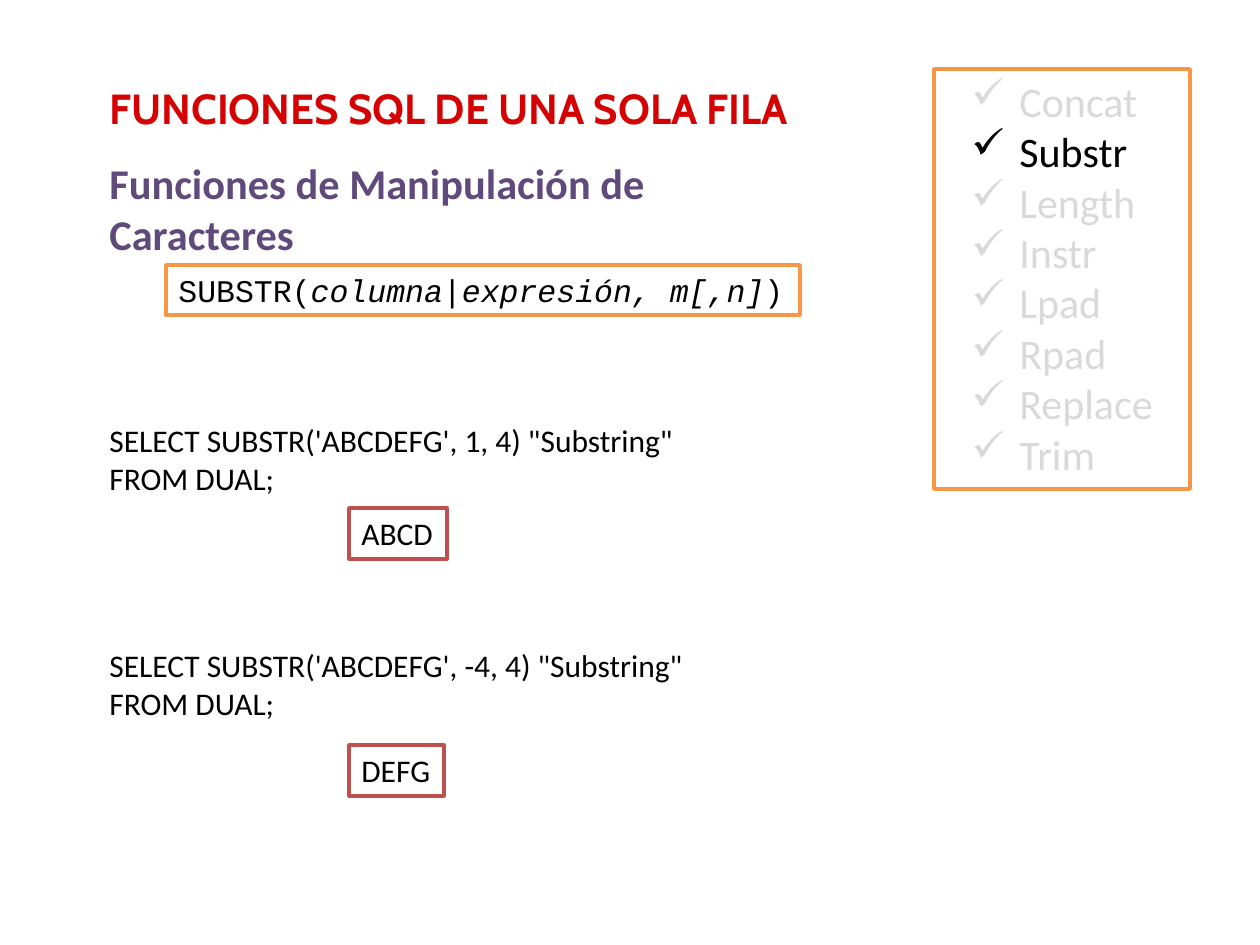
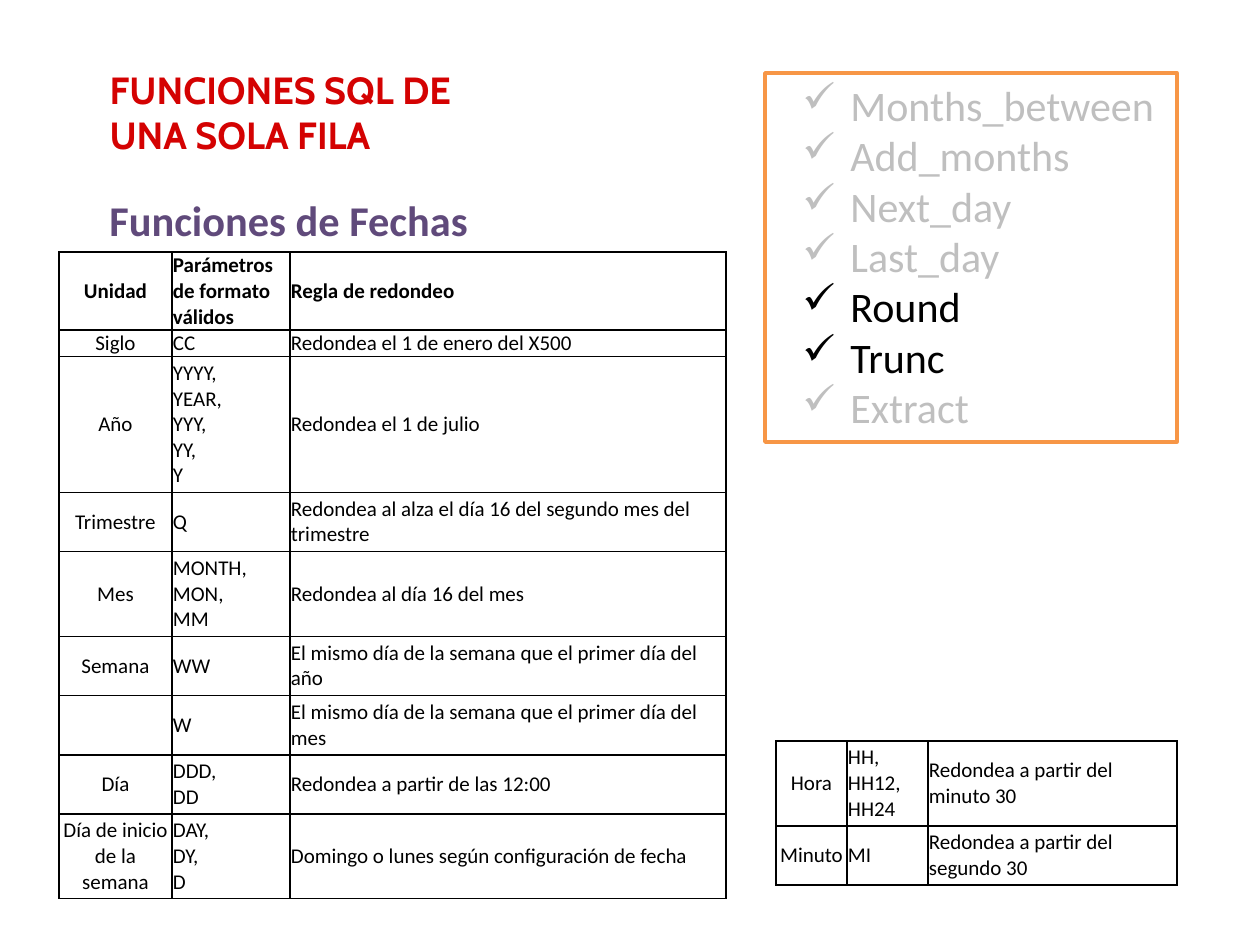
import pptx
import pptx.util
import pptx.dml.color
import pptx.enum.shapes
import pptx.enum.text
import pptx.oxml.ns
from lxml import etree

COLORS = {
    "title": "D40202", "subtitle": "604A7B", "text": "000000", "paper": "FFFFFF",
    "orange": "F79646", "red": "C0504D", "dim": "D9D9D9", "dim_dates": "BFBFBF",
}
PX = 914400 / 126
LEFT = 97
Pt = pptx.util.Pt
RGB = pptx.dml.color.RGBColor.from_string
ALIGN = pptx.enum.text.PP_ALIGN
ANCHOR = pptx.enum.text.MSO_ANCHOR
AUTO = pptx.enum.text.MSO_AUTO_SIZE
qn = pptx.oxml.ns.qn


def style(paragraph, size, color, bold=False, font="Calibri", align=ALIGN.LEFT):
    paragraph.alignment = align
    for run in paragraph.runs:
        run.font.name, run.font.size, run.font.bold = font, Pt(size), bold
        run.font.color.rgb = RGB(COLORS[color])


def add_text(slide, box, text, size=18, color="text", border=None, bold=False,
             font="Calibri", wrap=True, anchor=ANCHOR.TOP):
    place = [round(v * PX) for v in box]
    if border:
        shape = slide.shapes.add_shape(pptx.enum.shapes.MSO_SHAPE.RECTANGLE, *place)
        shape.shadow.inherit = False
        shape.fill.solid()
        shape.fill.fore_color.rgb = RGB(COLORS["paper"])
        shape.line.color.rgb = RGB(COLORS[border])
        shape.line.width = Pt(2)
    else:
        shape = slide.shapes.add_textbox(*place)
    frame = shape.text_frame
    frame.text = text
    frame.word_wrap = wrap
    frame.vertical_anchor = anchor
    frame.auto_size = AUTO.NONE
    for paragraph in frame.paragraphs:
        style(paragraph, size, color, bold, font)
    return frame


prs = pptx.Presentation()
prs.slide_width, prs.slide_height = round(1260 * PX), round(945 * PX)

# Shared parts: title, subtitle and function checklist
topics = [
    {"title": "FUNCIONES SQL DE UNA SOLA FILA", "title_box": (LEFT, 63, 998, 89), "title_size": 24,
     "subtitle": "Funciones de Manipulación de Caracteres", "subtitle_box": (LEFT, 175, 750, 66),
     "functions": ["Concat", "Substr", "Length", "Instr", "Lpad", "Rpad", "Replace", "Trim"],
     "current": ["Substr"], "dim": "dim", "list_box": (934, 69, 256, 420)},
    {"title": "FUNCIONES SQL DE\vUNA SOLA FILA", "title_box": (LEFT, 63, 536, 98), "title_size": 21.6,
     "subtitle": "Funciones de Fechas", "subtitle_box": (LEFT, 190, 571, 59),
     "functions": ["Months_between", "Add_months", "Next_day", "Last_day", "Round", "Trunc", "Extract"],
     "current": ["Round", "Trunc"], "dim": "dim_dates", "list_box": (765, 73, 412, 369)},
]
for topic in topics:
    slide = prs.slides.add_slide(prs.slide_layouts[5])
    title = slide.shapes.title
    title.left, title.top, title.width, title.height = [round(v * PX) for v in topic["title_box"]]
    title.text_frame.text = topic["title"]
    title.text_frame.auto_size = AUTO.NONE
    title.text_frame.vertical_anchor = ANCHOR.MIDDLE
    style(title.text_frame.paragraphs[0], topic["title_size"], "title", True, "Cabin")

    add_text(slide, topic["subtitle_box"], topic["subtitle"], 24.2, "subtitle",
             bold=True, anchor=ANCHOR.MIDDLE)

    checklist = add_text(slide, topic["list_box"], "\n".join(topic["functions"]), 24, border="orange")
    for entry in checklist.paragraphs:
        properties = entry._p.get_or_add_pPr()
        properties.set("marL", str(round(73 * PX)))
        properties.set("indent", str(round(-48 * PX)))
        etree.SubElement(properties, qn("a:buChar")).set("char", "✓")
        style(entry, 24, "text" if entry.text in topic["current"] else topic["dim"])

# Slide 1: SUBSTR syntax and examples
substr_slide, dates_slide = prs.slides
syntax = add_text(substr_slide, (166, 265, 634, 50), "SUBSTR(", border="orange",
                  font="Courier New", wrap=False).paragraphs[0]
for piece, italic in [("columna|expresión, m[,n]", True), (")", False)]:
    run = syntax.add_run()
    run.text = piece
    run.font.italic = italic
style(syntax, 18, "text", font="Courier New")

examples = [
    (1, 415, "ABCD", 508, 98),
    (-4, 640, "DEFG", 745, 95),
]
for start, query_top, result, result_top, result_width in examples:
    query = f"SELECT SUBSTR('ABCDEFG', {start}, 4) \"Substring\"\nFROM DUAL;"
    add_text(substr_slide, (LEFT, query_top, 630, 89), query)
    add_text(substr_slide, (349, result_top, result_width, 51), result, border="red", wrap=False)

# Slide 2: rounding rules, one table per group of units
rules = [
    ("Unidad", "Parámetros de formato válidos", "Regla de redondeo"),
    ("Siglo", "CC", "Redondea el 1 de enero del X500"),
    ("Año", "YYYY,\vYEAR,\vYYY,\vYY,\vY", "Redondea el 1 de julio"),
    ("Trimestre", "Q", "Redondea al alza el día 16 del segundo mes del trimestre"),
    ("Mes", "MONTH,\vMON,\vMM", "Redondea al día 16 del mes"),
    ("Semana", "WW", "El mismo día de la semana que el primer día del año"),
    ("", "W", "El mismo día de la semana que el primer día del mes"),
    ("Día", "DDD,\vDD", "Redondea a partir de las 12:00"),
    ("Día de inicio de la semana", "DAY,\vDY,\vD", "Domingo o lunes según configuración de fecha"),
]
time_rules = [
    ("Hora", "HH,\vHH12,\vHH24", "Redondea a partir del minuto 30"),
    ("Minuto", "MI", "Redondea a partir del segundo 30"),
]
tables = [
    (rules, 59, 252, [113, 118, 436], [76, 26, 133, 57, 83, 57, 57, 57, 82]),
    (time_rules, 776, 741, [71, 81, 249], [82, 57]),
]
for rows, left, top, widths, heights in tables:
    box = [round(v * PX) for v in (left, top, sum(widths), sum(heights))]
    grid = dates_slide.shapes.add_table(len(rows), len(widths), *box).table
    grid.first_row = grid.horz_banding = False
    for column, width in zip(grid.columns, widths):
        column.width = round(width * PX)
    for row, height in zip(grid.rows, heights):
        row.height = round(height * PX)
    for r, row in enumerate(rows):
        tight = rows is rules and r < 2
        for c, text in enumerate(row):
            cell = grid.cell(r, c)
            cell.margin_left = cell.margin_right = round(PX)
            cell.margin_top = round(PX * (1 if tight else 4))
            cell.margin_bottom = round(PX * (0 if tight else 4))
            cell.vertical_anchor = ANCHOR.MIDDLE
            for side in ("lnL", "lnR", "lnT", "lnB"):
                edge = etree.SubElement(cell._tc.get_or_add_tcPr(), qn("a:" + side), w=str(Pt(1)))
                fill = etree.SubElement(edge, qn("a:solidFill"))
                etree.SubElement(fill, qn("a:srgbClr"), val=COLORS["text"])
            cell.fill.background()
            if text:
                cell.text_frame.text = text
                style(cell.text_frame.paragraphs[0], 12, "text", rows is rules and r == 0,
                      align=ALIGN.CENTER if c == 0 else ALIGN.LEFT)

prs.save("out.pptx")
